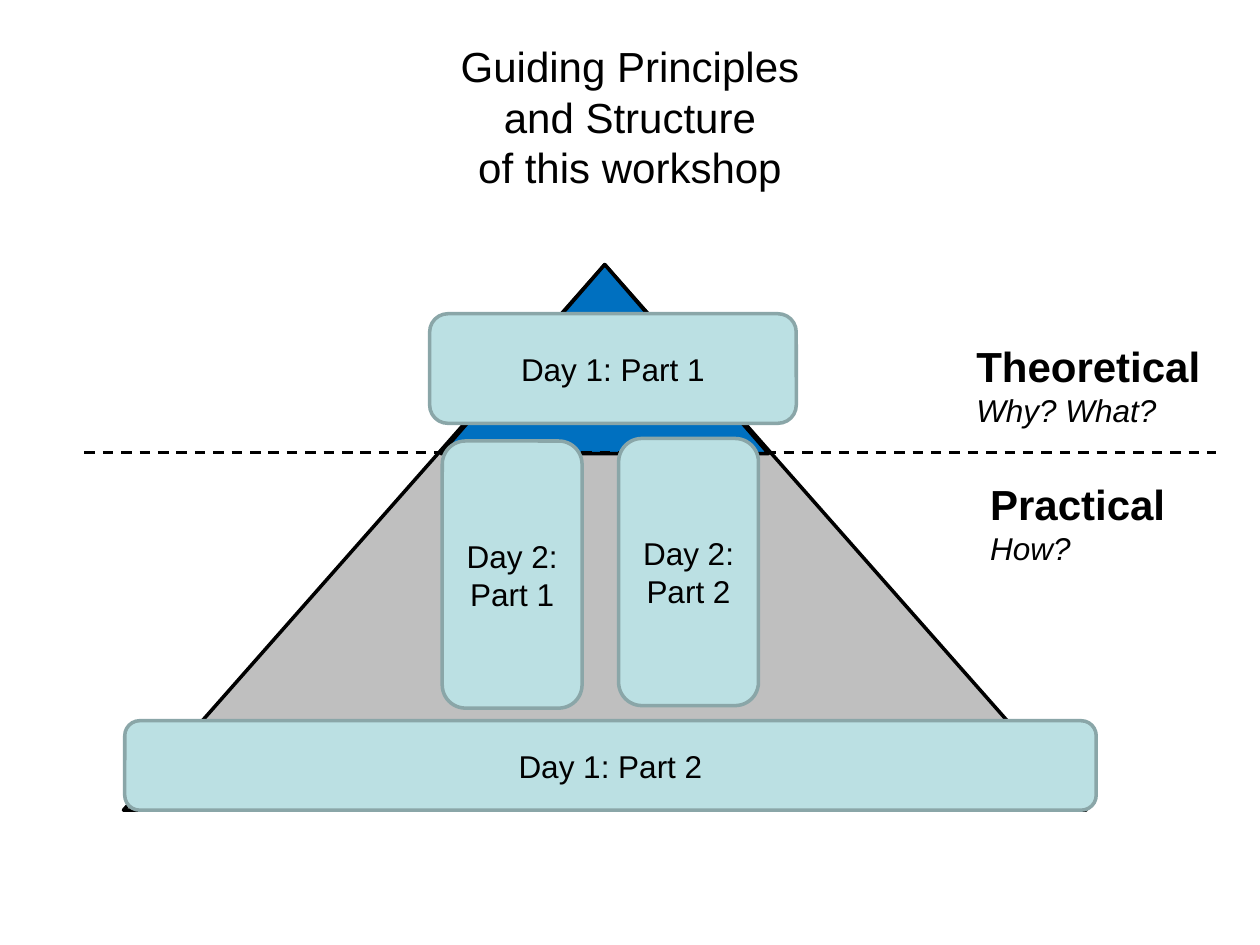
"""Workshop structure: a two-level pyramid with day blocks laid over it."""
from dataclasses import dataclass

import pptx
import pptx.dml.color
import pptx.enum.dml
import pptx.enum.shapes
import pptx.enum.text
import pptx.oxml
import pptx.oxml.ns
import pptx.util

WIDTH, HEIGHT = 10, 7.5
DIVIDER_Y = 3.59
BLACK, GREY, BLUE, TEAL, TEAL_EDGE = "000000", "BFBFBF", "0070C0", "BBE0E3", "8AA6A8"
Shapes = pptx.enum.shapes.MSO_SHAPE
Align = pptx.enum.text.PP_ALIGN
Anchor = pptx.enum.text.MSO_ANCHOR


@dataclass(frozen=True)
class Box:
    """A rectangle as shares of the slide's width and height."""
    left: float
    top: float
    width: float
    height: float

    def emu(self) -> list:
        """Return the position and size as lengths."""
        scales = (WIDTH, HEIGHT, WIDTH, HEIGHT)
        shares = (self.left, self.top, self.width, self.height)
        return [pptx.util.Inches(share * scale) for share, scale in zip(shares, scales)]


def inches(left: float, top: float, width: float, height: float) -> Box:
    """Turn inches into shares of the slide."""
    return Box(left / WIDTH, top / HEIGHT, width / WIDTH, height / HEIGHT)


@dataclass(frozen=True)
class Block:
    """One outlined shape, with an optional label."""
    kind: int
    box: Box
    fill: str
    edge: str
    label: str = ""


@dataclass(frozen=True)
class Level:
    """The name of a pyramid level and the questions it answers."""
    box: Box
    name: str
    questions: str


PYRAMID = [
    Block(Shapes.ISOSCELES_TRIANGLE, inches(0.98, 2.1, 7.64, 4.33), GREY, BLACK),
    Block(Shapes.ISOSCELES_TRIANGLE, inches(3.5, 2.1, 2.6, 1.5), BLUE, BLACK),
]
SESSIONS = [
    Block(Shapes.ROUNDED_RECTANGLE, box, TEAL, TEAL_EDGE, label)
    for label, box in [
        ("Day 1: Part 1", inches(3.41, 2.49, 2.91, 0.87)),
        ("Day 1: Part 2", inches(0.99, 5.72, 7.71, 0.71)),
        ("Day 2: Part 1", inches(3.51, 3.5, 1.11, 2.12)),
        ("Day 2: Part 2", inches(4.91, 3.48, 1.11, 2.12)),
    ]
]
LEVELS = [
    Level(inches(7.65, 2.65, 2, 0.81), "Theoretical", "Why? What?"),
    Level(inches(7.76, 3.75, 1.89, 0.81), "Practical", "How?"),
]


def colour(code: str) -> pptx.dml.color.RGBColor:
    """Turn a hex string into a colour."""
    return pptx.dml.color.RGBColor.from_string(code)


def write(paragraph, text: str, *, size: float = 18, bold: bool = False,
          italic: bool = False, align=Align.LEFT) -> None:
    """Put formatted text into a paragraph."""
    paragraph.text = text
    paragraph.alignment = align
    for run in paragraph.runs:
        font = run.font
        font.name, font.size = "Arial", pptx.util.Pt(size)
        font.bold, font.italic = bold, italic
        font.color.rgb = colour(BLACK)


def add_frame(slide, box: Box, anchor=Anchor.TOP):
    """Add a wrapping text box and return its text frame."""
    frame = slide.shapes.add_textbox(*box.emu()).text_frame
    frame.word_wrap, frame.vertical_anchor = True, anchor
    return frame


def add_block(slide, block: Block) -> None:
    """Draw one outlined shape and its label."""
    shape = slide.shapes.add_shape(block.kind, *block.box.emu())
    shape.shadow.inherit = False
    shape.fill.solid()
    shape.fill.fore_color.rgb = colour(block.fill)
    shape.line.color.rgb = colour(block.edge)
    shape.line.width = pptx.util.Pt(2)
    if block.label:
        shape.text_frame.word_wrap = True
        shape.text_frame.vertical_anchor = Anchor.MIDDLE
        write(shape.text_frame.paragraphs[0], block.label, align=Align.CENTER)


def add_divider(slide) -> None:
    """Draw the dashed line between the two levels."""
    start, end, height = (pptx.util.Inches(v) for v in (0.67, 9.65, DIVIDER_Y))
    divider = slide.shapes.add_connector(
        pptx.enum.shapes.MSO_CONNECTOR.STRAIGHT, start, height, end, height)
    divider.line.color.rgb = colour(BLACK)
    divider.line.width = pptx.util.Pt(1.5)
    divider.line.dash_style = pptx.enum.dml.MSO_LINE.DASH
    divider._element.spPr.append(
        pptx.oxml.parse_xml(f"<a:effectLst {pptx.oxml.ns.nsdecls('a')}/>"))


def add_level(slide, level: Level) -> None:
    """Write a level's name above its questions."""
    frame = add_frame(slide, level.box)
    write(frame.paragraphs[0], level.name, size=24, bold=True)
    write(frame.add_paragraph(), level.questions, italic=True)


def build() -> None:
    """Build and save the slide."""
    deck = pptx.Presentation()
    deck.slide_width = pptx.util.Inches(WIDTH)
    deck.slide_height = pptx.util.Inches(HEIGHT)
    slide = deck.slides.add_slide(deck.slide_layouts[6])

    title = add_frame(slide, inches(0.5, 0.3, 9, 1.25), Anchor.MIDDLE)
    write(title.paragraphs[0], "Guiding Principles\vand Structure\vof this workshop",
          size=24, align=Align.CENTER)
    for block in PYRAMID:
        add_block(slide, block)
    add_divider(slide)
    for level in LEVELS:
        add_level(slide, level)
    for session in SESSIONS:
        add_block(slide, session)
    deck.save("out.pptx")


build()
